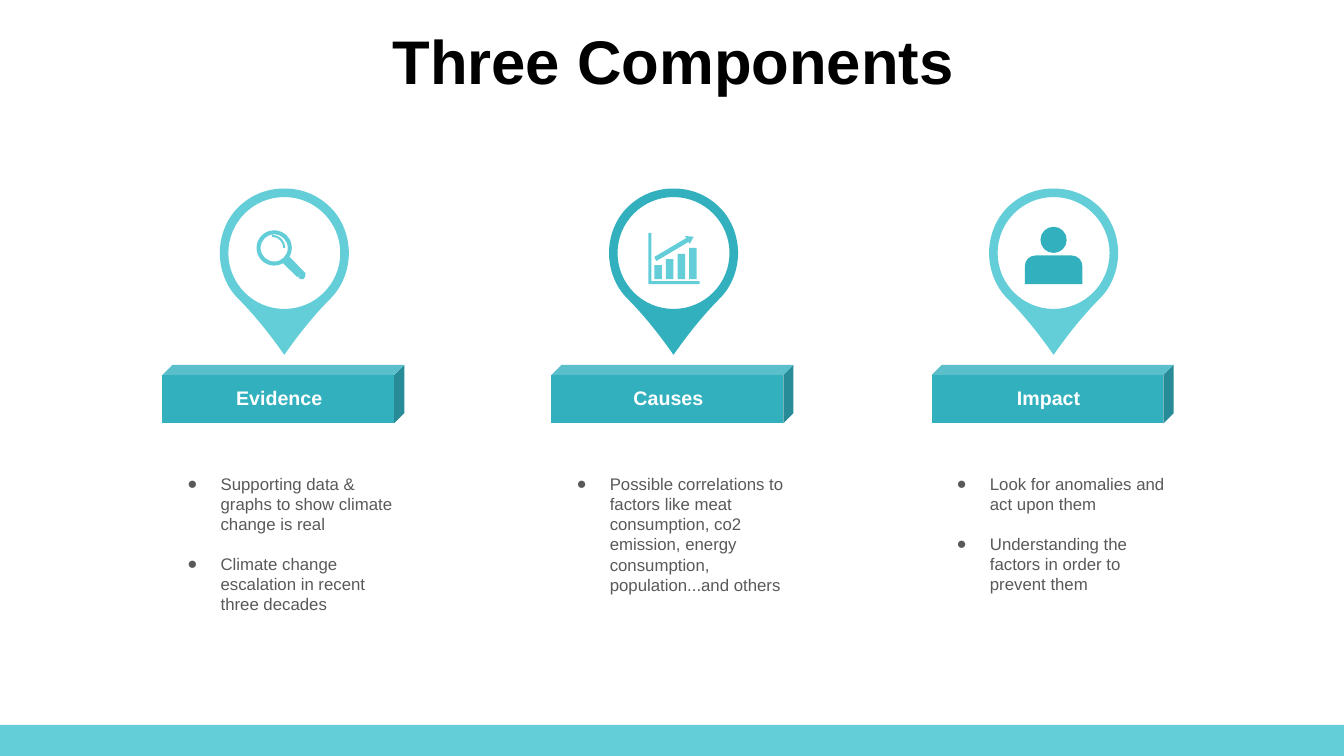
import math

from lxml import etree
from pptx import Presentation
from pptx.dml.color import RGBColor
from pptx.enum import shapes, text
from pptx.oxml.ns import qn
from pptx.util import Inches, Pt

COLORS = {"light": "64CED8", "teal": "32B0BE", "body": "595959",
          "black": "000000", "white": "FFFFFF"}
FONT = "Arial"


def rgb(name):
    """Look up a named colour."""
    return RGBColor.from_string(COLORS[name])


def paint(sp, color):
    """Give a shape a flat fill with no line or shadow."""
    sp.shadow.inherit = False
    sp.fill.solid()
    sp.fill.fore_color.rgb = rgb(color)
    sp.line.fill.background()


def add_bullet(p, color):
    """Give a paragraph a round bullet and a hanging indent."""
    pPr = p._p.get_or_add_pPr()
    pPr.set("marL", str(Inches(0.5)))
    pPr.set("indent", str(Inches(-0.33)))
    clr = etree.SubElement(pPr, qn("a:buClr"))
    etree.SubElement(clr, qn("a:srgbClr")).set("val", COLORS[color])
    etree.SubElement(pPr, qn("a:buFont")).set("typeface", FONT)
    etree.SubElement(pPr, qn("a:buChar")).set("char", "●")


def write(sp, lines, size=12, color="body", bold=False, align=text.PP_ALIGN.LEFT,
          anchor=text.MSO_ANCHOR.TOP, spacing=None, gap=0, bullets=False):
    """Write paragraphs into a shape with one format."""
    tf = sp.text_frame
    tf.word_wrap = True
    tf.auto_size = text.MSO_AUTO_SIZE.NONE
    tf.vertical_anchor = anchor
    for i, line in enumerate(lines):
        p = tf.add_paragraph() if i else tf.paragraphs[0]
        p.alignment = align
        p.line_spacing = spacing
        p.space_before = Pt(gap if i else 0)
        r = p.add_run()
        r.text = line
        r.font.name, r.font.size, r.font.bold = FONT, Pt(size), bold
        r.font.color.rgb = rgb(color)
        if bullets:
            add_bullet(p, color)


def add_text(s, box, lines, **fmt):
    """Add a text box; box is left, top, width, height in inches."""
    write(s.shapes.add_textbox(*map(Inches, box)), lines, **fmt)


def end(step):
    """Return where a step ends: a point, or the last point of a curve."""
    return step[-1] if isinstance(step[0], tuple) else step


def arc(cx, cy, r, start=0, stop=360):
    """Return a start point and curves along an arc, clockwise from the right."""
    count = math.ceil(abs(stop - start) / 90)
    sweep = math.radians(stop - start) / count
    k = 4 / 3 * math.tan(sweep / 4)

    def at(angle, pull=0):
        c, d = math.cos(angle), math.sin(angle)
        return cx + r * (c - pull * d), cy + r * (d + pull * c)

    angles = [math.radians(start) + i * sweep for i in range(count + 1)]
    return [at(angles[0])] + [(at(a, k), at(b, -k), at(b))
                              for a, b in zip(angles, angles[1:])]


def rect(left, top, right, bottom):
    """Return the corners of a rectangle."""
    return [(left, top), (right, top), (right, bottom), (left, bottom)]


def add_outline(s, cx, cy, contours, color):
    """Draw closed contours of points and curves, relative to a centre."""
    def place(pt):
        return Inches(cx + pt[0]), Inches(cy + pt[1])

    builder = s.shapes.build_freeform(*place(contours[0][0]))
    for i, contour in enumerate(contours):
        if i:
            builder.move_to(*place(contour[0]))
        builder.add_line_segments([place(end(step)) for step in contour[1:]], close=True)
    sp = builder.convert_to_shape()
    steps = [step for contour in contours for step in contour[1:]]
    for line, step in zip(list(sp._element.iter(qn("a:lnTo"))), steps):
        if not isinstance(step[0], tuple):
            continue
        curve = etree.Element(qn("a:cubicBezTo"))
        for x, y in map(place, step):
            etree.SubElement(curve, qn("a:pt"), x=str(x - sp.left), y=str(y - sp.top))
        line.getparent().replace(line, curve)
    paint(sp, color)


def pin():
    """Return the contours of a map pin with a round hole."""
    right = [(0, -0.64),
             ((0.17, -0.64), (0.33, -0.58), (0.46, -0.45)),
             ((0.58, -0.33), (0.64, -0.16), (0.64, 0)),
             ((0.64, 0.16), (0.58, 0.33), (0.46, 0.45)),
             ((0.29, 0.62), (0.14, 0.81), (0, 1.01))]
    left = [tuple((-x, y) for x, y in (curve[1], curve[0], end(before)))
            for before, curve in zip(right, right[1:])]
    return [right + left[::-1], arc(0, 0, 0.555)]


def magnifier():
    """Return the contours of a magnifying glass."""
    x, y = -0.1, -0.05
    return [[(0.19, 0.18), (0.21, 0.2), (0.21, 0.23), (0.19, 0.26), (0.16, 0.26), (0.14, 0.24)],
            arc(x - 0.02, y, 0.13, -90, 0) + arc(x - 0.02, y, 0.11, 0, -90),
            arc(x, y, 0.135),
            arc(x, y, 0.175, 60, 390) + [(0.19, 0.18), (0.13, 0.24)]]


def growth():
    """Return the contours of a rising bar graph with an arrow."""
    bars = [rect(-0.19 + 0.115 * i, top, -0.115 + 0.115 * i, 0.26)
            for i, top in enumerate((0.12, 0.06, 0.01, -0.05))]
    arrow = [(0.11, -0.17), (0.2, -0.16), (0.16, -0.09), (0.15, -0.11),
             (-0.17, 0.08), (-0.19, 0.04), (0.13, -0.15)]
    axes = [(-0.25, -0.2), (-0.22, -0.2), (-0.22, 0.28),
            (0.26, 0.28), (0.26, 0.31), (-0.25, 0.31)]
    return bars + [arrow, axes]


def person():
    """Return the contours of a head and shoulders."""
    body = (arc(-0.18, 0.13, 0.105, 180, 270) + arc(0.18, 0.13, 0.105, 270, 360)
            + [(0.285, 0.31), (-0.285, 0.31)])
    return [body, arc(0, -0.13, 0.13)]


def add_component(s, left, top, label, points, pin_color, icon, icon_color):
    """Draw one column: pin, icon, labelled block and bullets."""
    cx, cy = left + 1.21, top + 0.64
    block = s.shapes.add_shape(shapes.MSO_SHAPE.CUBE, *map(Inches, (left, top + 1.75, 2.4, 0.58)))
    block.adjustments[0] = 0.173
    paint(block, "teal")
    add_outline(s, cx, cy, pin(), pin_color)
    add_outline(s, cx, cy, icon(), icon_color)
    add_text(s, (left + 0.29, top + 1.91, 1.74, 0.34), [label], size=14,
             color="white", bold=True, align=text.PP_ALIGN.CENTER)
    add_text(s, (left - 0.02, top + 2.78, 2.44, 1.72), points, gap=13.8, bullets=True)


def add_title(s, box, title):
    """Place and format the title placeholder."""
    sp = s.shapes.title
    sp.left, sp.top, sp.width, sp.height = map(Inches, box)
    write(sp, [title], size=44, color="black", bold=True, spacing=0.9,
          align=text.PP_ALIGN.CENTER, anchor=text.MSO_ANCHOR.MIDDLE)


def add_footer(s, box):
    """Draw the band along the bottom."""
    paint(s.shapes.add_shape(shapes.MSO_SHAPE.RECTANGLE, *map(Inches, box)), "light")


COMPONENTS = [
    (1.61, "Evidence", ["Supporting data & graphs to show climate change is real",
                        "Climate change escalation in recent three decades"],
     "light", magnifier, "light"),
    (5.47, "Causes", ["Possible correlations to factors like meat consumption, co2 emission, "
                      "energy consumption, population...and others"],
     "teal", growth, "light"),
    (9.24, "Impact", ["Look for anomalies and act upon them",
                      "Understanding the factors in order to prevent them"],
     "light", person, "teal"),
]

prs = Presentation()
prs.slide_width, prs.slide_height = Inches(13.33), Inches(7.5)
s = prs.slides.add_slide(prs.slide_layouts[5])
add_footer(s, (0, 7.19, 13.33, 0.31))
add_title(s, (0.35, 0.25, 12.66, 0.79), "Three Components")
for left, *parts in COMPONENTS:
    add_component(s, left, 1.87, *parts)
prs.save("out.pptx")
